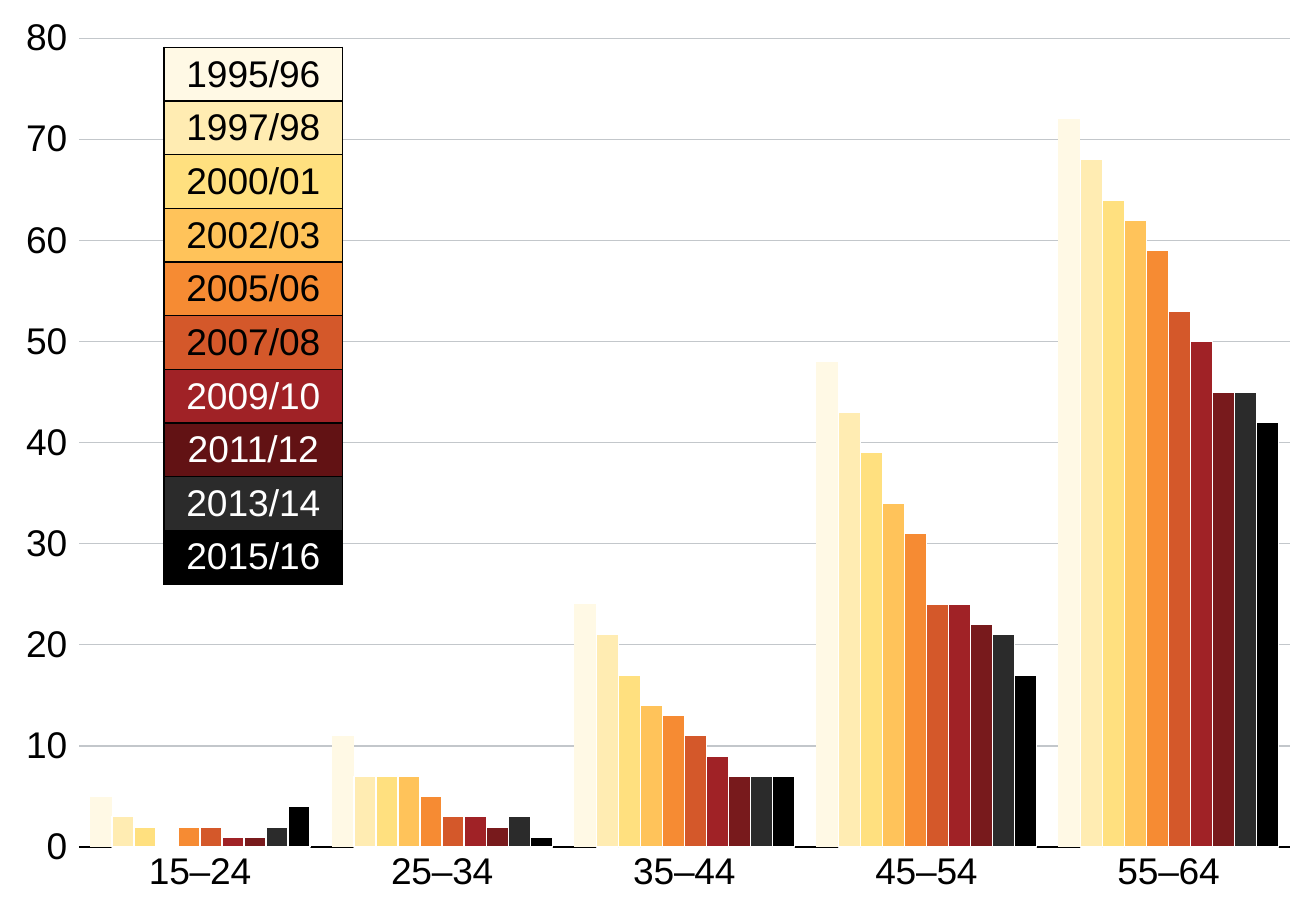
from dataclasses import dataclass
from pptx import Presentation
from pptx.chart.data import CategoryChartData
from pptx.dml.color import RGBColor
from pptx.enum.chart import XL_CHART_TYPE, XL_TICK_MARK
from pptx.enum.text import MSO_ANCHOR, PP_ALIGN
from pptx.oxml import parse_xml
from pptx.oxml.ns import nsdecls
from pptx.util import Inches, Pt


@dataclass(frozen=True)
class Theme:
    font: str = "Arial"
    size: int = 22
    base: int = 18
    rule: float = 0.75
    black: str = "000000"
    white: str = "FFFFFF"
    grid: str = "C3C7CB"


theme = Theme()
rgb = RGBColor.from_string

ages = ["15–24", "25–34", "35–44", "45–54", "55–64"]
# Survey, bar colour, key colour, key text colour, values by age
surveys = [
    ("1995/96", "FFF9E5", "FFF9E5", theme.black, (5, 11, 24, 48, 72)),
    ("1997/98", "FFECB2", "FFECB2", theme.black, (3, 7, 21, 43, 68)),
    ("2000/01", "FFE07F", "FFE07F", theme.black, (2, 7, 17, 39, 64)),
    ("2002/03", "FFC35A", "FFC35A", theme.black, (0, 7, 14, 34, 62)),
    ("2005/06", "F68B33", "F68B33", theme.black, (2, 5, 13, 31, 59)),
    ("2007/08", "D4582A", "D4582A", theme.black, (2, 3, 11, 24, 53)),
    ("2009/10", "A02226", "A02226", theme.white, (1, 3, 9, 24, 50)),
    ("2011/12", "781A1C", "621214", theme.white, (1, 2, 7, 22, 45)),
    ("2013/14", "2B2B2B", "2B2B2B", theme.white, (2, 3, 7, 21, 45)),
    ("2015/16", "000000", "000000", theme.white, (4, 1, 7, 17, 42)),
]


def style(font, size, color=theme.black):
    """Apply the theme face with a size and colour."""
    font.name, font.size = theme.font, Pt(size)
    font.color.rgb = rgb(color)


def draw(line, color):
    """Give a chart line the theme width and a colour."""
    line.color.rgb = rgb(color)
    line.width = Pt(theme.rule)


prs = Presentation()
prs.slide_width, prs.slide_height = Inches(10.83), Inches(7.5)
slide = prs.slides.add_slide(prs.slide_layouts[6])

# Column chart
data = CategoryChartData(number_format="0")
data.categories = ages
for name, _, _, _, values in surveys:
    data.add_series(name, values)
chart = slide.shapes.add_chart(
    XL_CHART_TYPE.COLUMN_CLUSTERED, 0, 0, prs.slide_width, prs.slide_height, data
).chart
chart.has_legend = chart.has_title = False
style(chart.font, theme.base)

plot = chart.plots[0]
for key, value in {"gap_width": 100, "overlap": 0, "vary_by_categories": False}.items():
    setattr(plot, key, value)
for bars, (_, color, *_) in zip(plot.series, surveys):
    bars.invert_if_negative = False
    bars.format.fill.solid()
    bars.format.fill.fore_color.rgb = rgb(color)
    draw(bars.format.line, theme.white)
plot.series[0].format.line.fill.background()

formats = {
    chart.category_axis: {
        "major_tick_mark": XL_TICK_MARK.NONE,
        "has_major_gridlines": False,
    },
    chart.value_axis: {
        "major_tick_mark": XL_TICK_MARK.OUTSIDE,
        "has_major_gridlines": True,
        "minimum_scale": 0,
        "maximum_scale": 80,
        "major_unit": 10,
    },
}
for axis, format in formats.items():
    axis.minor_tick_mark = XL_TICK_MARK.NONE
    for key, value in format.items():
        setattr(axis, key, value)
    style(axis.tick_labels.font, theme.size)
draw(chart.category_axis.format.line, theme.black)
draw(chart.value_axis.major_gridlines.format.line, theme.grid)
chart.value_axis.format.line.fill.background()
labels = chart.value_axis.tick_labels
labels.number_format, labels.number_format_is_linked = "0", False

# Inner plot area, as shares of the chart
area = chart.element.xpath("//c:plotArea")[0]
for old in area.xpath("c:layout"):
    area.remove(old)
place = {"x": 0.06, "y": 0.042, "w": 0.92, "h": 0.888}
modes = "".join(f'<c:{key}Mode val="edge"/>' for key in "xy")
spots = "".join(f'<c:{key} val="{value}"/>' for key, value in place.items())
area.insert(0, parse_xml(
    f'<c:layout {nsdecls("c")}><c:manualLayout><c:layoutTarget val="inner"/>'
    f"{modes}{spots}</c:manualLayout></c:layout>"
))

# Colour key
table = slide.shapes.add_table(
    len(surveys), 1, Inches(1.35), Inches(0.39), Inches(1.47), Inches(4.42)
).table
table.first_row = table.horz_banding = False
for row, (name, _, fill, ink, _) in enumerate(surveys):
    cell = table.cell(row, 0)
    cell.text = name
    cell.vertical_anchor = MSO_ANCHOR.MIDDLE
    cell.margin_top = cell.margin_bottom = Inches(0.04)
    para = cell.text_frame.paragraphs[0]
    para.alignment = PP_ALIGN.CENTER
    style(para.runs[0].font, theme.size, ink)
    props = cell._tc.get_or_add_tcPr()
    for side in "LRTB":
        props.append(parse_xml(
            f'<a:ln{side} {nsdecls("a")} w="{Pt(1)}"><a:solidFill>'
            f'<a:srgbClr val="{theme.black}"/></a:solidFill></a:ln{side}>'
        ))
    cell.fill.solid()
    cell.fill.fore_color.rgb = rgb(fill)

prs.save("out.pptx")
